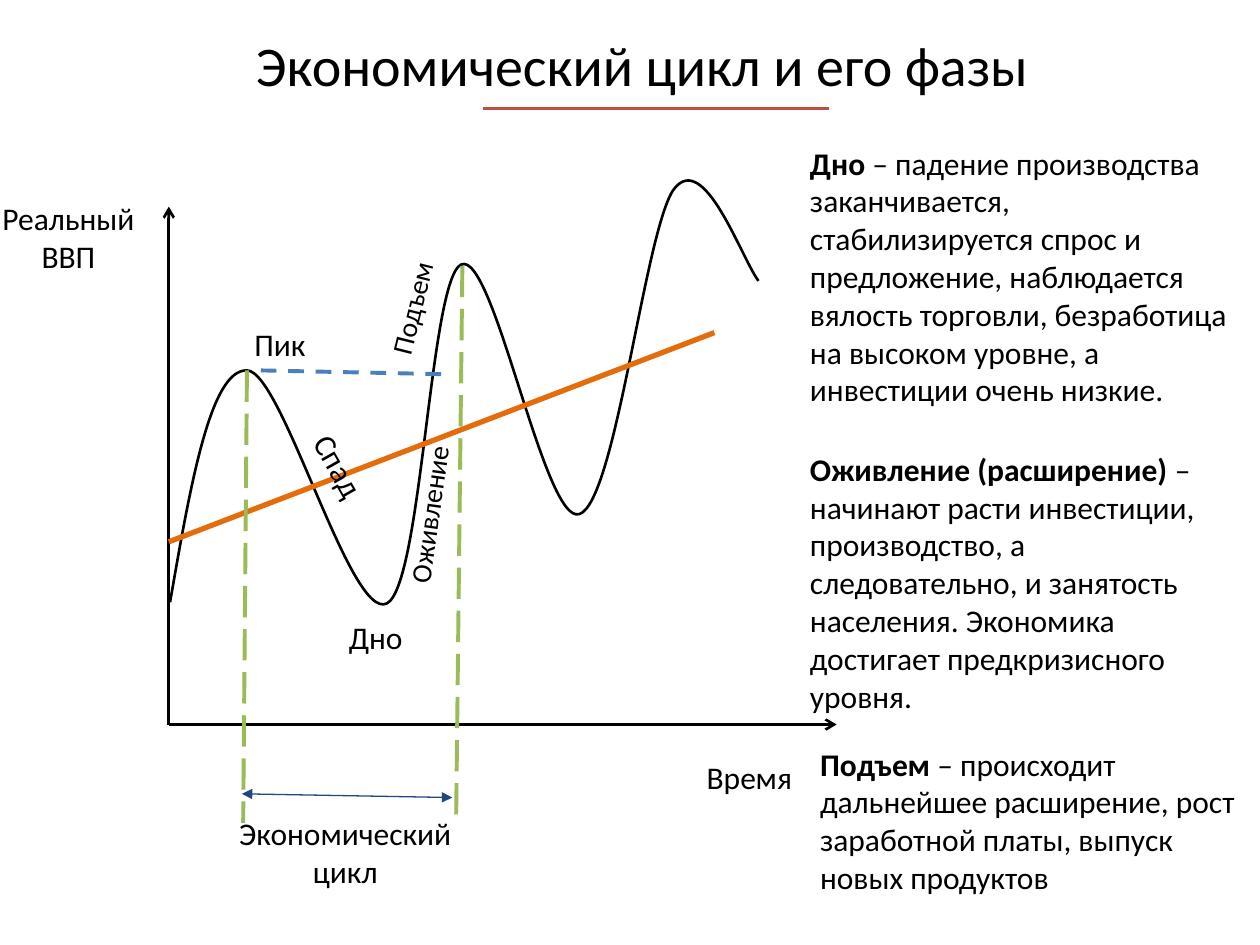
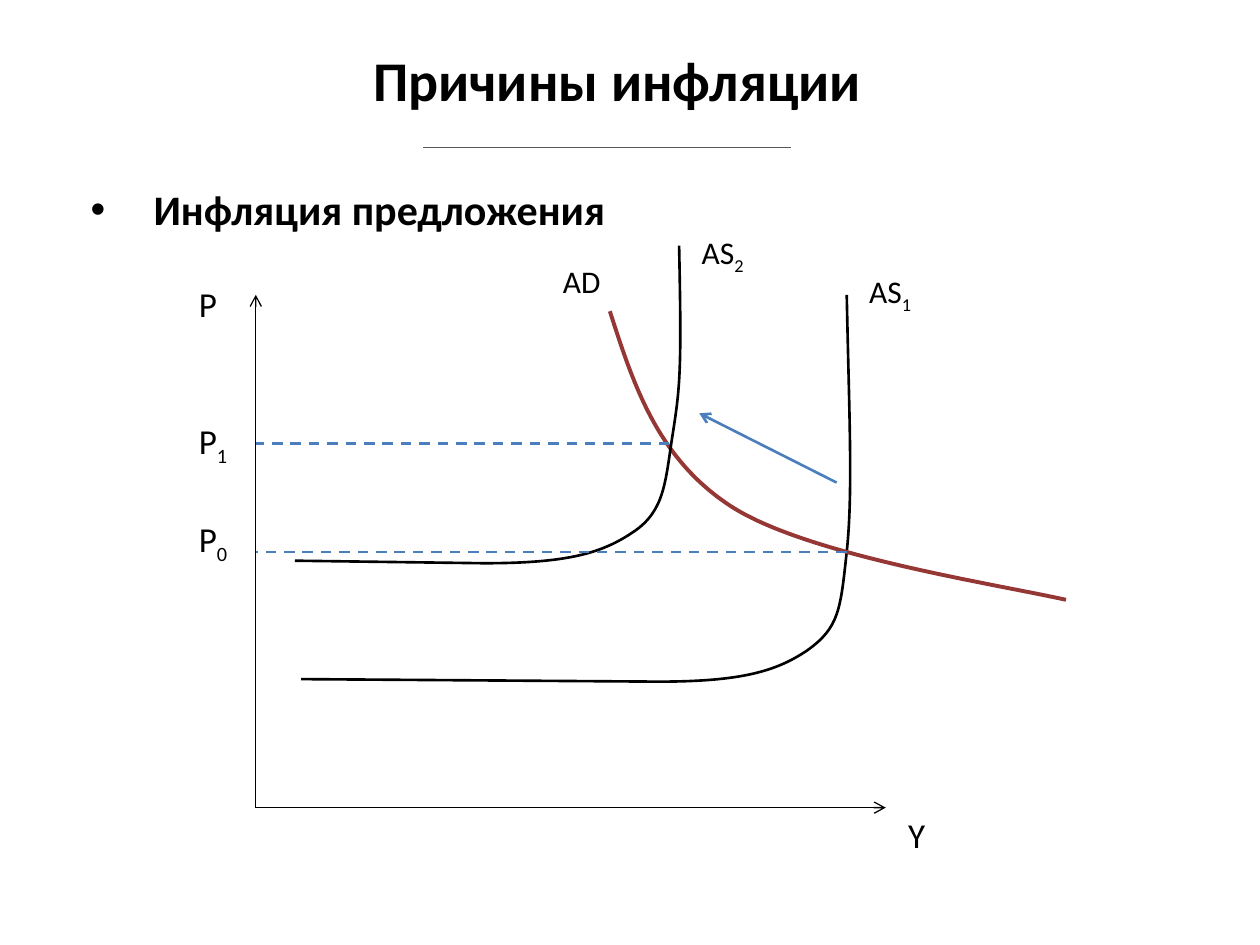
from dataclasses import dataclass

from lxml.etree import SubElement
from pptx import Presentation
from pptx.dml.color import RGBColor
from pptx.enum.dml import MSO_LINE_DASH_STYLE as Dash
from pptx.enum.shapes import MSO_CONNECTOR as Connector
from pptx.enum.text import MSO_ANCHOR as Anchor, MSO_AUTO_SIZE as AutoSize, PP_ALIGN as Align
from pptx.oxml.ns import qn
from pptx.util import Inches, Pt


@dataclass(frozen=True)
class Theme:
    """Colours, fonts and type sizes shared by the slides."""
    font: str = "Calibri"
    bullet_font: str = "Arial"
    ink: str = "000000"
    trend: str = "E46C0A"
    cycle: str = "9BBB59"
    guide: str = "4B7EBC"
    span: str = "1F497D"
    demand: str = "953735"
    rule: str = "BF4C48"
    grey_rule: str = "595959"
    title: int = 32
    heading: int = 24
    axis: int = 20
    body: int = 18
    small: int = 16


THEME = Theme()
SLIDE_SIZE = (10, 7.5)
TITLE_SIZE = (8.7, 0.67)

CYCLE = {
    "title": {"text": "Экономический цикл и его фазы", "corner": (0.75, 0.19), "bold": False},
    "axes": {"origin": (1.34, 5.75), "top": 1.64, "right": 6.64, "width": 1.5},
    "lines": [
        {"start": (3.83, 0.86), "end": (6.58, 0.86), "color": THEME.rule, "width": 1.5},
        {"start": (1.34, 4.3), "end": (5.67, 2.64), "color": THEME.trend, "width": 3},
        {"start": (1.96, 2.94), "end": (1.93, 6.53), "color": THEME.cycle, "width": 2.25,
         "dash": Dash.LONG_DASH},
        {"start": (3.67, 2.11), "end": (3.62, 6.54), "color": THEME.cycle, "width": 2.25,
         "dash": Dash.LONG_DASH},
        {"start": (2.07, 2.94), "end": (3.52, 2.97), "color": THEME.guide, "width": 2.25,
         "dash": Dash.DASH},
        {"start": (1.92, 6.3), "end": (3.59, 6.33), "color": THEME.span, "width": 0.75,
         "head": "triangle", "tail": "triangle"},
    ],
    "curves": [
        {"start": (1.35, 4.78), "color": THEME.ink, "width": 1.5, "segments": [
            [(1.51, 3.86), (1.67, 2.93), (1.96, 2.94)],
            [(2.24, 2.94), (2.78, 4.93), (3.07, 4.79)],
            [(3.35, 4.65), (3.41, 2.22), (3.66, 2.1)],
            [(3.92, 1.98), (4.32, 4.18), (4.6, 4.08)],
            [(4.89, 3.98), (5.12, 1.81), (5.35, 1.5)],
            [(5.59, 1.19), (5.88, 2.04), (6.02, 2.23)]]},
    ],
    "labels": [
        {"box": (-0.08, 1.53, 1.26, 0.71), "lines": ["Реальный", "ВВП"]},
        {"box": (5.51, 5.97, 0.89, 0.4), "lines": ["Время"]},
        {"box": (2.33, 3.5, 0.73, 0.4), "lines": ["Спад"], "rotation": 60.4},
        {"box": (1.92, 2.53, 0.61, 0.4), "lines": ["Пик"]},
        {"box": (2.67, 4.86, 0.63, 0.4), "lines": ["Дно"]},
        {"box": (2.56, 3.67, 1.75, 0.37), "lines": ["Оживление"], "rotation": 277.9,
         "size": THEME.small, "wrap": True},
        {"box": (2.65, 2.07, 1.33, 0.37), "lines": ["Подъем"], "rotation": 284.1,
         "size": THEME.small, "wrap": True},
        {"box": (1.8, 6.41, 1.91, 0.71), "lines": ["Экономический", "цикл"]},
        {"box": (6.33, 1.09, 3.52, 2.52), "wrap": True, "term": "Дно", "lines": [
            " – падение производства заканчивается, стабилизируется спрос и предложение, "
            "наблюдается вялость торговли, безработица на высоком уровне, "
            "а инвестиции очень низкие."]},
        {"box": (6.41, 5.86, 3.52, 1.31), "wrap": True, "term": "Подъем ", "lines": [
            "– происходит дальнейшее расширение, рост заработной платы, "
            "выпуск новых продуктов"]},
        {"box": (6.33, 3.52, 3.52, 2.22), "wrap": True, "term": "Оживление (расширение) ",
         "lines": ["– начинают расти инвестиции, производство, а следовательно, "
                   "и занятость населения. Экономика достигает предкризисного уровня."]},
    ],
}

INFLATION = {
    "title": {"text": "Причины инфляции", "corner": (0.55, 0.31), "bold": True},
    "axes": {"origin": (2.03, 6.41), "top": 2.34, "right": 7.03, "width": 0.75},
    "lines": [
        {"start": (3.36, 1.17), "end": (6.28, 1.17), "color": THEME.grey_rule, "width": 0.75},
        {"start": (6.72, 4.38), "end": (2.03, 4.38), "color": THEME.guide, "width": 1.5,
         "dash": Dash.DASH},
        {"start": (5.31, 3.52), "end": (2.03, 3.52), "color": THEME.guide, "width": 1.5,
         "dash": Dash.DASH},
        {"start": (6.64, 3.83), "end": (5.55, 3.28), "color": THEME.guide, "width": 1.5,
         "tail": "arrow"},
    ],
    "curves": [
        {"start": (2.39, 5.39), "color": THEME.ink, "width": 1.5, "segments": [
            [(5.22, 5.41)],
            [(5.88, 5.41), (6.16, 5.33), (6.41, 5.16)],
            [(6.66, 4.98), (6.67, 4.84), (6.72, 4.38)],
            [(6.77, 3.91), (6.74, 3.31), (6.72, 2.34)]]},
        {"start": (4.84, 2.47), "color": THEME.demand, "width": 2.25, "segments": [
            [(5.03, 3.06), (5.22, 3.65), (5.82, 4.03)],
            [(6.43, 4.41), (7.87, 4.63), (8.46, 4.76)]]},
        {"start": (2.34, 4.45), "color": THEME.ink, "width": 1.5, "segments": [
            [(3.84, 4.47)],
            [(4.51, 4.47), (4.78, 4.39), (5.03, 4.22)],
            [(5.28, 4.05), (5.28, 3.82), (5.34, 3.44)],
            [(5.4, 3.06), (5.41, 2.92), (5.39, 1.95)]]},
    ],
    "labels": [
        {"box": (0.62, 1.41, 8.59, 0.91), "term": "Инфляция предложения", "lines": [""],
         "size": THEME.heading, "wrap": True, "bullet": "•"},
        {"box": (6.8, 2.11, 0.55, 0.4), "lines": ["AS"], "subscript": "1"},
        {"box": (4.37, 2.03, 0.5, 0.4), "lines": ["AD"]},
        {"box": (7.11, 6.41, 0.34, 0.44), "lines": ["Y"], "size": THEME.axis},
        {"box": (1.48, 2.19, 0.35, 0.44), "lines": ["P"], "size": THEME.axis},
        {"box": (1.48, 4.06, 0.44, 0.44), "lines": ["P"], "subscript": "0", "size": THEME.axis},
        {"box": (1.48, 3.28, 0.44, 0.44), "lines": ["P"], "subscript": "1", "size": THEME.axis},
        {"box": (5.47, 1.8, 0.55, 0.4), "lines": ["AS"], "subscript": "2"},
    ],
}


def inches(values):
    """Convert a row of inch values to slide units."""
    return [Inches(value) for value in values]


def style_font(paragraph, size, bold=None):
    """Apply the theme font to a paragraph."""
    paragraph.font.name = THEME.font
    paragraph.font.size = Pt(size)
    paragraph.font.bold = bold
    paragraph.font.color.rgb = RGBColor.from_string(THEME.ink)


def style_line(line, color, width):
    """Set the colour and width of a line."""
    line.color.rgb = RGBColor.from_string(color)
    line.width = Pt(width)


def set_title(slide, text, corner, bold):
    """Place and format the title placeholder."""
    title = slide.shapes.title
    title.left, title.top, title.width, title.height = inches(corner + TITLE_SIZE)
    frame = title.text_frame
    frame.text = text
    frame.auto_size = AutoSize.NONE
    frame.vertical_anchor = Anchor.TOP
    frame.paragraphs[0].alignment = Align.CENTER
    style_font(frame.paragraphs[0], THEME.title, bold)


def add_line(shapes, start, end, color, width, dash=None, head=None, tail=None):
    """Draw a straight line with optional dashes and arrowheads."""
    connector = shapes.add_connector(Connector.STRAIGHT, *inches(start + end))
    style_line(connector.line, color, width)
    if dash:
        connector.line.dash_style = dash
    properties = connector.element.spPr
    outline = properties.find(qn("a:ln"))
    for tag, kind in (("a:headEnd", head), ("a:tailEnd", tail)):
        if kind:
            SubElement(outline, qn(tag), type=kind)
    SubElement(properties, qn("a:effectLst"))


def add_axes(shapes, origin, top, right, width):
    """Draw the grouped vertical and horizontal axes from their origin."""
    group = shapes.add_group_shape()
    for end in ((origin[0], top), (right, origin[1])):
        add_line(group.shapes, origin, end, THEME.ink, width, tail="arrow")


def add_curve(shapes, start, segments, color, width):
    """Draw an open outline of straight and cubic segments."""
    builder = shapes.build_freeform(*inches(start))
    points = [inches(point) for segment in segments for point in segment]
    builder.add_line_segments(points, close=False)
    shape = builder.convert_to_shape()
    shape.fill.background()
    shape.shadow.inherit = False
    style_line(shape.line, color, width)
    steps = iter(list(shape.element.iter(qn("a:lnTo"))))
    for segment in segments:
        first, *others = [next(steps) for _ in segment]
        if others:
            cubic = first.makeelement(qn("a:cubicBezTo"))
            first.addprevious(cubic)
            for step in (first, *others):
                cubic.append(step[0])
                step.getparent().remove(step)


def add_bullet(paragraph, mark):
    """Give a paragraph a hanging bullet."""
    properties = paragraph._p.get_or_add_pPr()
    properties.set("marL", str(Inches(0.5)))
    properties.set("indent", str(-Inches(0.5)))
    parts = (SubElement(properties, qn("a:buFont"), typeface=THEME.bullet_font),
             SubElement(properties, qn("a:buChar"), char=mark))
    for place, part in enumerate(parts):
        properties.insert(place, part)


def add_label(shapes, box, lines, term="", subscript="", size=THEME.body, wrap=False,
              rotation=0, bullet=""):
    """Write a text box with an optional bold term, subscript or bullet."""
    shape = shapes.add_textbox(*inches(box))
    shape.rotation = rotation
    frame = shape.text_frame
    frame.word_wrap = wrap
    frame.auto_size = AutoSize.SHAPE_TO_FIT_TEXT
    for index, line in enumerate(lines):
        paragraph = frame.add_paragraph() if index else frame.paragraphs[0]
        paragraph.alignment = Align.CENTER if index else Align.LEFT
        style_font(paragraph, size)
        if bullet:
            add_bullet(paragraph, bullet)
        for text, bold, baseline in ((term, True, None), (line, None, None),
                                     (subscript, None, "-25000")):
            if text:
                run = paragraph.add_run()
                run.text = text
                run.font.bold = bold
                if baseline:
                    run._r.get_or_add_rPr().set("baseline", baseline)


def add_diagram_slide(presentation, content):
    """Add one slide with its title, axes, curves, lines and labels."""
    slide = presentation.slides.add_slide(presentation.slide_layouts[5])
    set_title(slide, **content["title"])
    add_axes(slide.shapes, **content["axes"])
    for draw, group in ((add_curve, "curves"), (add_line, "lines"), (add_label, "labels")):
        for item in content[group]:
            draw(slide.shapes, **item)


def main():
    """Build and save the presentation."""
    presentation = Presentation()
    presentation.slide_width, presentation.slide_height = inches(SLIDE_SIZE)
    for content in (CYCLE, INFLATION):
        add_diagram_slide(presentation, content)
    presentation.save("out.pptx")


if __name__ == "__main__":
    main()
